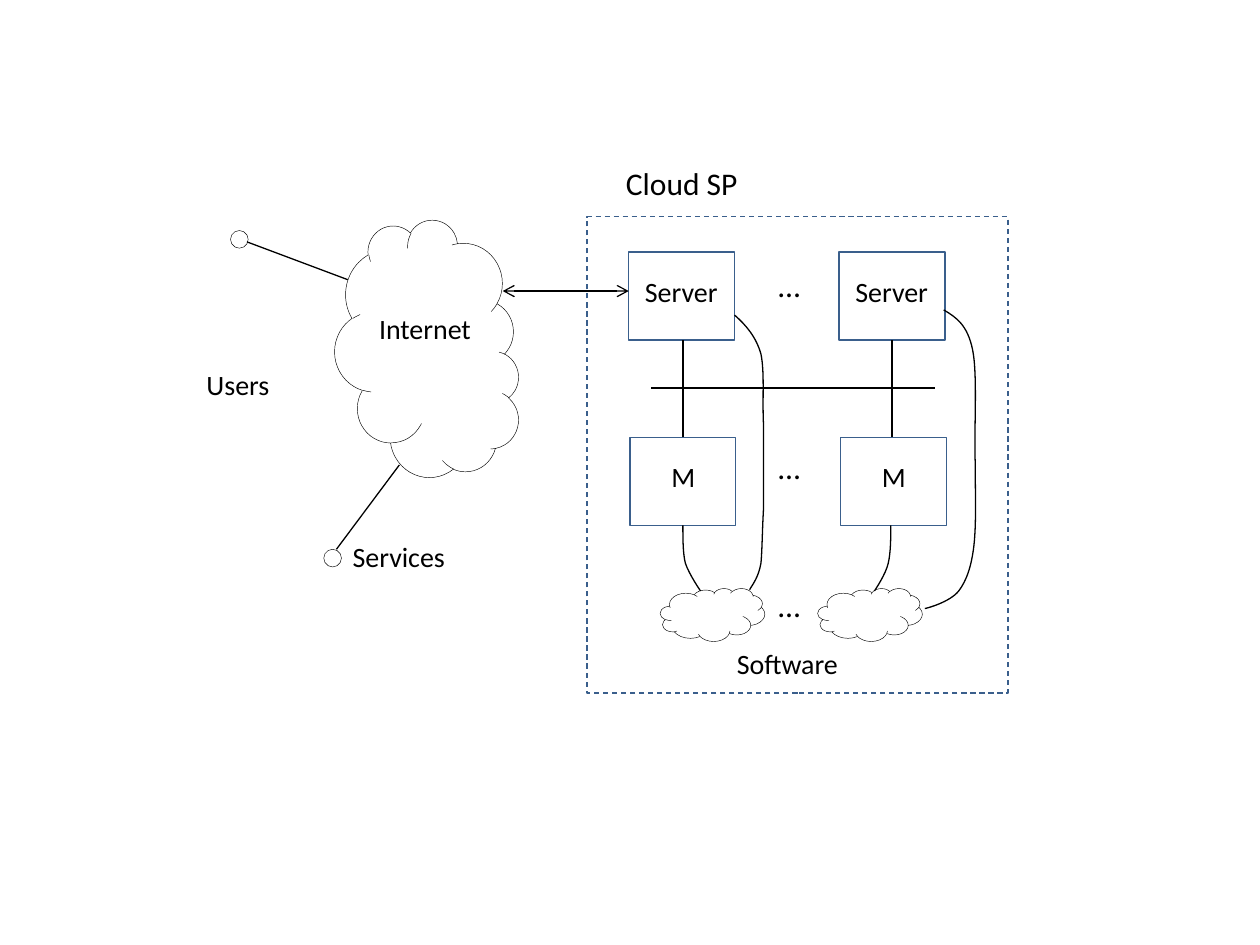
from dataclasses import dataclass

from lxml.etree import SubElement
from pptx import Presentation
from pptx.dml.color import RGBColor
from pptx.enum.dml import MSO_LINE
from pptx.enum.shapes import MSO_CONNECTOR, MSO_SHAPE
from pptx.oxml.ns import qn
from pptx.util import Inches, Pt

BLACK = RGBColor(0x00, 0x00, 0x00)
BLUE = RGBColor(0x3A, 0x5F, 0x8C)
FONT = "Calibri"

Point = tuple[float, float]


@dataclass
class Outline:
    kind: MSO_SHAPE
    left: float
    top: float
    width: float
    height: float
    color: RGBColor = BLACK
    weight: float = 0.25
    dashed: bool = False
    rotation: float = 0


@dataclass
class Label:
    text: str
    left: float
    top: float
    width: float
    size: int = 16
    wrap: bool = True


@dataclass
class Line:
    start: Point
    end: Point
    arrows: bool = False


@dataclass
class Wire:
    """A chain of cubic curves: a start, then two controls and an end each."""
    start: Point
    curves: list[tuple[Point, Point, Point]]


def box(left: float, top: float) -> Outline:
    return Outline(MSO_SHAPE.RECTANGLE, left, top, 0.84, 0.7, BLUE, 0.75)


def node(left: float, top: float) -> Outline:
    return Outline(MSO_SHAPE.FLOWCHART_CONNECTOR, left, top, 0.14, 0.14)


COLUMN_STEP = 1.67
COLUMNS = [0, COLUMN_STEP]

OUTLINES = [
    *[box(4.99 + offset, 2) for offset in COLUMNS],
    *[box(5 + offset, 3.47) for offset in COLUMNS],
    Outline(MSO_SHAPE.RECTANGLE, 4.66, 1.72, 3.34, 3.78, BLUE, 0.75, dashed=True),
    *[Outline(MSO_SHAPE.CLOUD, left, 4.67, 0.83, 0.42) for left in (5.24, 6.49)],
    Outline(MSO_SHAPE.CLOUD, 2.37, 2.04, 2.04, 1.46, rotation=90),
    node(2.57, 4.36),
    node(1.83, 1.83),
]

LABELS = [
    *[Label("Server", 5.02 + offset, 2.13, 0.78) for offset in COLUMNS],
    *[Label("M", 5.23 + offset, 3.6, 0.39) for offset in COLUMNS],
    *[Label("…", 6.08, top, 0.33, 18) for top in (2.06, 3.51, 4.6)],
    Label("Internet", 2.91, 2.42, 0.98),
    Label("Services", 2.7, 4.23, 0.98),
    Label("Users", 1.54, 2.87, 0.78),
    Label("Software", 5.75, 5.08, 1.02, wrap=False),
    Label("Cloud SP", 4.87, 1.25, 1.1, 18, wrap=False),
]

LINES = [
    Line((5.17, 3.08), (7.42, 3.08)),
    *[Line((x, 2.7), (x, 3.47)) for x in (5.42, 7.08)],
    Line((3.99, 2.31), (4.99, 2.31), arrows=True),
    Line((3.17, 3.69), (2.67, 4.36)),
    Line((1.96, 1.92), (2.76, 2.22)),
]

WIRES = [
    Wire((5.42, 4.17), [
        ((5.42, 4.28), (5.42, 4.39), (5.44, 4.47)),
        ((5.47, 4.56), (5.56, 4.69), (5.56, 4.69)),
    ]),
    Wire((7.07, 4.17), [
        ((7.07, 4.27), (7.07, 4.38), (7.05, 4.47)),
        ((7.03, 4.56), (6.94, 4.69), (6.94, 4.69)),
    ]),
    Wire((5.83, 2.5), [
        ((5.92, 2.58), (6, 2.67), (6.04, 2.81)),
        ((6.07, 2.96), (6.05, 3.16), (6.06, 3.37)),
        ((6.06, 3.57), (6.06, 3.85), (6.06, 4.04)),
        ((6.05, 4.22), (6.05, 4.36), (6.04, 4.47)),
        ((6.02, 4.58), (5.98, 4.63), (5.95, 4.68)),
    ]),
    Wire((7.49, 2.46), [
        ((7.59, 2.52), (7.68, 2.58), (7.72, 2.78)),
        ((7.76, 2.98), (7.73, 3.41), (7.74, 3.67)),
        ((7.74, 3.92), (7.75, 4.15), (7.73, 4.33)),
        ((7.71, 4.5), (7.67, 4.61), (7.61, 4.69)),
        ((7.54, 4.78), (7.35, 4.83), (7.34, 4.83)),
    ]),
]


def style_line(shape, color: RGBColor = BLACK, weight: float = 0.75) -> None:
    shape.line.color.rgb = color
    shape.line.width = Pt(weight)


def draw_outline(slide, outline: Outline) -> None:
    shape = slide.shapes.add_shape(
        outline.kind, Inches(outline.left), Inches(outline.top),
        Inches(outline.width), Inches(outline.height))
    shape.rotation = outline.rotation
    shape.shadow.inherit = False
    shape.fill.background()
    style_line(shape, outline.color, outline.weight)
    if outline.dashed:
        shape.line.dash_style = MSO_LINE.DASH


def draw_label(slide, label: Label) -> None:
    height = 0.4 if label.size == 18 else 0.37
    shape = slide.shapes.add_textbox(
        Inches(label.left), Inches(label.top), Inches(label.width), Inches(height))
    text_frame = shape.text_frame
    text_frame.word_wrap = label.wrap
    text_frame.text = label.text
    font = text_frame.paragraphs[0].runs[0].font
    font.name = FONT
    font.size = Pt(label.size)
    font.color.rgb = BLACK


def draw_line(slide, line: Line) -> None:
    connector = slide.shapes.add_connector(
        MSO_CONNECTOR.STRAIGHT, *map(Inches, line.start + line.end))
    style_line(connector)
    if line.arrows:
        for tag in ("a:headEnd", "a:tailEnd"):
            SubElement(connector.line._get_or_add_ln(), qn(tag), type="arrow")
    SubElement(connector._element.spPr, qn("a:effectLst"))


def draw_wire(slide, wire: Wire) -> None:
    """Join the curve ends as a freeform, then bend each segment to its controls."""
    builder = slide.shapes.build_freeform(*map(Inches, wire.start))
    ends = [(Inches(x), Inches(y)) for _, _, (x, y) in wire.curves]
    builder.add_line_segments(ends, close=False)
    shape = builder.convert_to_shape()
    segments = list(shape._element.iter(qn("a:lnTo")))
    for segment, curve in zip(segments, wire.curves):
        bend = segment.makeelement(qn("a:cubicBezTo"))
        for x, y in curve:
            SubElement(bend, qn("a:pt"), x=str(Inches(x) - shape.left),
                       y=str(Inches(y) - shape.top))
        segment.getparent().replace(segment, bend)
    shape.shadow.inherit = False
    shape.fill.background()
    style_line(shape)


def main() -> None:
    presentation = Presentation()
    presentation.slide_width = Inches(10)
    presentation.slide_height = Inches(7.5)
    slide = presentation.slides.add_slide(presentation.slide_layouts[6])
    for draw, items in ((draw_outline, OUTLINES), (draw_line, LINES),
                        (draw_wire, WIRES), (draw_label, LABELS)):
        for item in items:
            draw(slide, item)
    presentation.save("out.pptx")


if __name__ == "__main__":
    main()
